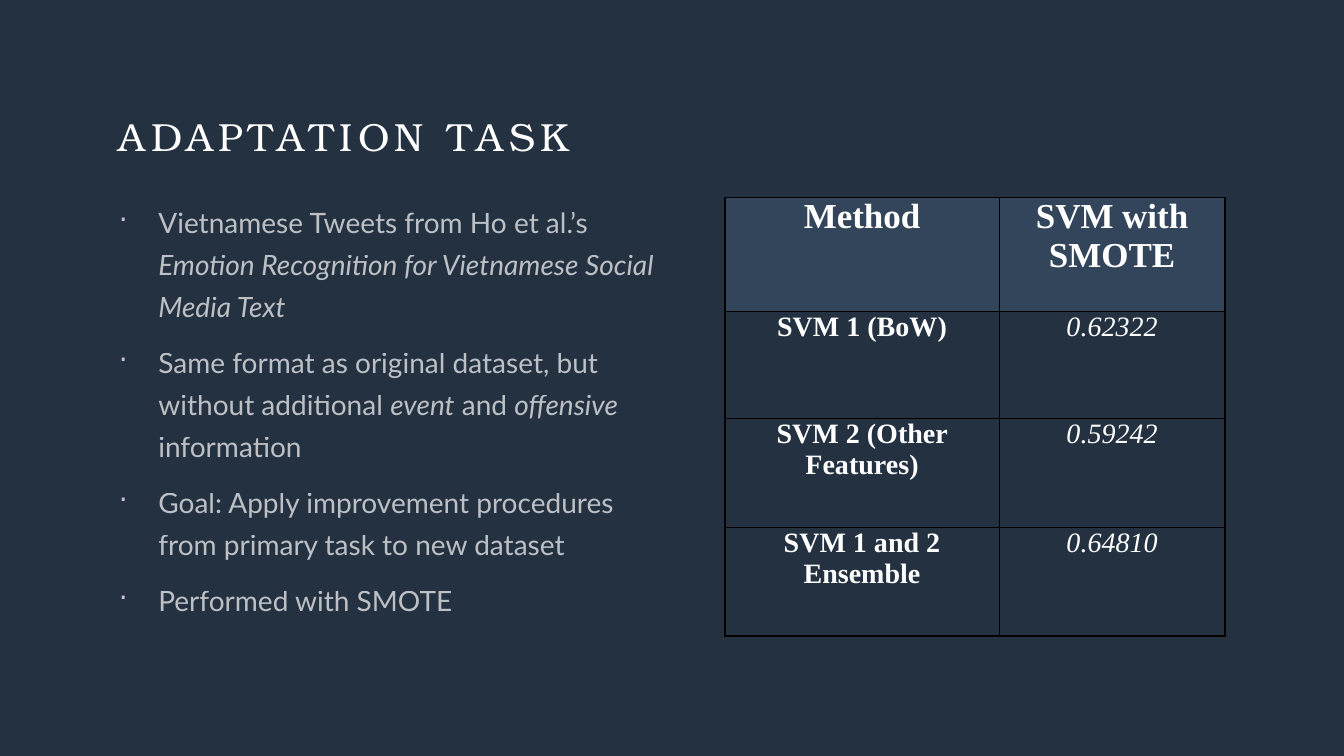
from lxml import etree
from pptx import Presentation
from pptx.dml.color import RGBColor
from pptx.enum.text import MSO_ANCHOR, MSO_AUTO_SIZE, PP_ALIGN
from pptx.oxml.ns import qn
from pptx.util import Inches, Pt

LEFT, CENTER = PP_ALIGN.LEFT, PP_ALIGN.CENTER
TOP = MSO_ANCHOR.TOP
NO_AUTOFIT = MSO_AUTO_SIZE.NONE

COLORS = {
    "background": "243141",
    "header": "33455B",
    "text": "FFFFFF",
    "bullet": "CBC0DD",
    "border": "000000",
}
TITLE_FONT, BODY_FONT, TABLE_FONT = "TeX Gyre Bonum", "Lato", "Times New Roman"

BULLETS = [
    [("Vietnamese Tweets from Ho et al.’s ", False),
     ("Emotion Recognition for Vietnamese Social Media Text", True)],
    [("Same format as original dataset, but without additional ", False),
     ("event", True), (" and ", False), ("offensive ", True), ("information", False)],
    [("Goal: Apply improvement procedures from primary task to new dataset", False)],
    [("Performed with SMOTE", False)],
]
RESULTS = [
    ("Method", "SVM with SMOTE"),
    ("SVM 1 (BoW)", "0.62322"),
    ("SVM 2 (Other Features)", "0.59242"),
    ("SVM 1 and 2 Ensemble", "0.64810"),
]
COLUMN_WIDTHS = (2.72, 2.24)
ROW_HEIGHTS = (1.13, 1.06, 1.08, 1.08)


def rgb(name):
    return RGBColor.from_string(COLORS[name])


def format_run(run, font, size, bold=False, italic=False):
    run.font.name = font
    run.font.size = Pt(size)
    run.font.bold = bold
    run.font.italic = italic
    run.font.color.rgb = rgb("text")


def prepare_frame(text_frame):
    text_frame.word_wrap = True
    text_frame.auto_size = NO_AUTOFIT
    text_frame.vertical_anchor = TOP
    text_frame.margin_left = text_frame.margin_right = 0
    text_frame.margin_top = text_frame.margin_bottom = 0


def add_title(slide, left, top, width, height):
    title = slide.shapes.title
    title.left, title.top = Inches(left), Inches(top)
    title.width, title.height = Inches(width), Inches(height)
    prepare_frame(title.text_frame)
    title.text_frame.text = "ADAPTATION TASK"
    paragraph = title.text_frame.paragraphs[0]
    paragraph.alignment = LEFT
    run = paragraph.runs[0]
    format_run(run, TITLE_FONT, 28)
    run.font._element.set("spc", "400")


def set_bullet(paragraph, indent):
    properties = paragraph._p.get_or_add_pPr()
    properties.set("marL", str(Inches(indent)))
    properties.set("indent", str(-Inches(indent)))
    color = etree.SubElement(properties, qn("a:buClr"))
    etree.SubElement(color, qn("a:srgbClr"), val=COLORS["bullet"])
    etree.SubElement(properties, qn("a:buChar"), char="·")


def add_bullets(slide, left, top, width, height):
    box = slide.shapes.add_textbox(Inches(left), Inches(top), Inches(width), Inches(height))
    text_frame = box.text_frame
    prepare_frame(text_frame)
    for index, pieces in enumerate(BULLETS):
        paragraph = text_frame.add_paragraph() if index else text_frame.paragraphs[0]
        paragraph.line_spacing = 1.25
        paragraph.space_before = Pt(10)
        set_bullet(paragraph, 0.39)
        for text, italic in pieces:
            run = paragraph.add_run()
            run.text = text
            format_run(run, BODY_FONT, 20, italic=italic)
            color = run.font._element.find(f".//{qn('a:srgbClr')}")
            etree.SubElement(color, qn("a:alpha"), val="70000")


def set_borders(cell):
    properties = cell._tc.get_or_add_tcPr()
    for position, side in enumerate(("lnL", "lnR", "lnT", "lnB")):
        line = etree.Element(qn(f"a:{side}"), w=str(Pt(1)))
        fill = etree.SubElement(line, qn("a:solidFill"))
        etree.SubElement(fill, qn("a:srgbClr"), val=COLORS["border"])
        properties.insert(position, line)


def fill_cell(cell, text, is_header, is_value):
    cell.margin_left = cell.margin_right = Inches(0.07)
    cell.margin_top = cell.margin_bottom = 0
    cell.vertical_anchor = TOP
    if is_header:
        cell.fill.solid()
        cell.fill.fore_color.rgb = rgb("header")
    else:
        cell.fill.background()
    set_borders(cell)
    cell.text_frame.text = text
    paragraph = cell.text_frame.paragraphs[0]
    paragraph.alignment = CENTER
    paragraph.space_before = Pt(6.4)
    format_run(paragraph.runs[0], TABLE_FONT, 25 if is_header else 20,
               bold=not is_value, italic=is_value)


def add_results(slide, left, top, width, height):
    frame = slide.shapes.add_table(len(RESULTS), len(COLUMN_WIDTHS), Inches(left),
                                   Inches(top), Inches(width), Inches(height))
    table = frame.table
    table.first_row = table.horz_banding = False
    for column, column_width in zip(table.columns, COLUMN_WIDTHS):
        column.width = Inches(column_width)
    for row, row_height in zip(table.rows, ROW_HEIGHTS):
        row.height = Inches(row_height)
    for row_index, texts in enumerate(RESULTS):
        is_header = row_index == 0
        for column_index, text in enumerate(texts):
            is_value = column_index == 1 and not is_header
            fill_cell(table.cell(row_index, column_index), text, is_header, is_value)


def main():
    presentation = Presentation()
    presentation.slide_width = Inches(13.33)
    presentation.slide_height = Inches(7.5)
    slide = presentation.slides.add_slide(presentation.slide_layouts[5])
    slide.background.fill.solid()
    slide.background.fill.fore_color.rgb = rgb("background")
    add_title(slide, 1.18, 1.11, 10.97, 0.72)
    add_bullets(slide, 1.18, 1.96, 5.49, 4.35)
    add_results(slide, 7.19, 1.96, sum(COLUMN_WIDTHS), sum(ROW_HEIGHTS))
    presentation.save("out.pptx")


if __name__ == "__main__":
    main()
